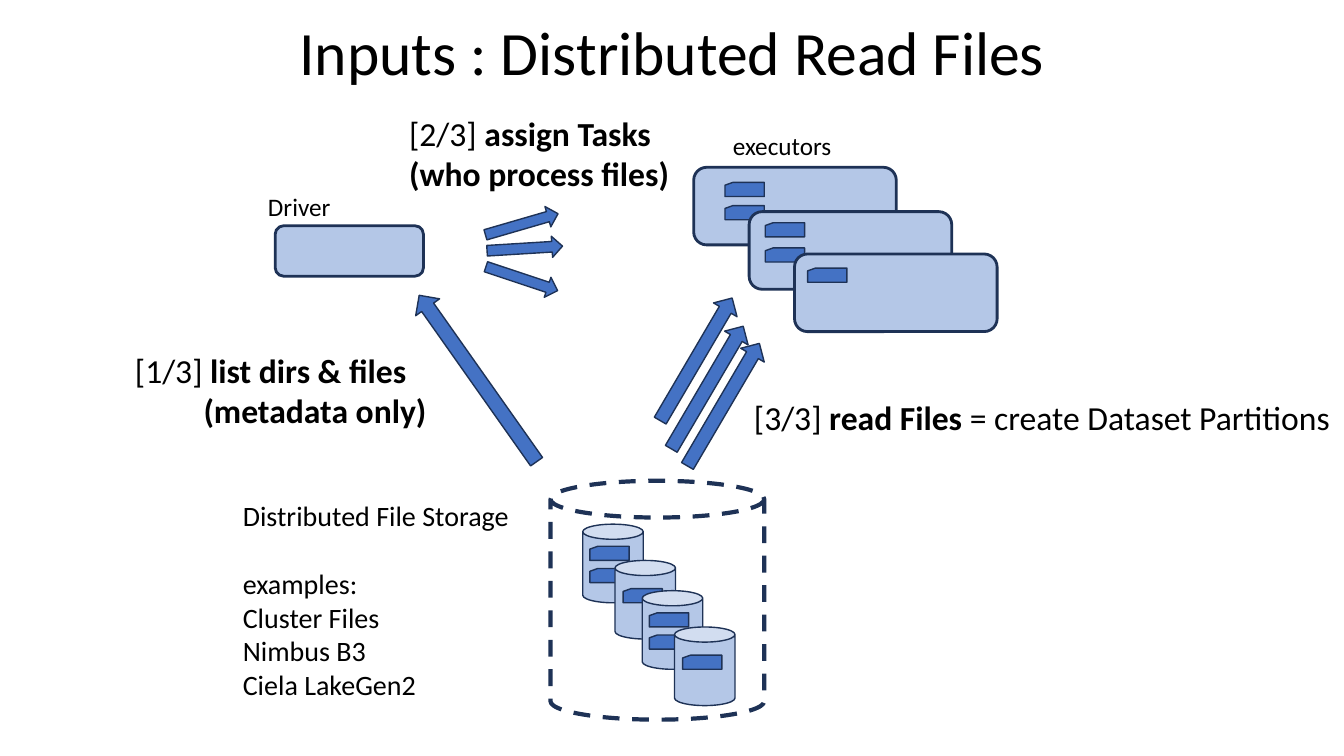
import pptx
import pptx.util
import pptx.dml.color
import pptx.enum.dml
import pptx.enum.shapes
import pptx.enum.text

SHAPE = pptx.enum.shapes.MSO_SHAPE
ANCHOR = pptx.enum.text.MSO_ANCHOR
AUTO = pptx.enum.text.MSO_AUTO_SIZE
ALIGN = pptx.enum.text.PP_ALIGN
Inches, Pt = pptx.util.Inches, pptx.util.Pt

FONT, BLACK = "Calibri", "000000"
PALE, BLUE, NAVY = "B4C7E7", "4472C4", "1E3256"

TITLE = "Inputs : Distributed Read Files"

# Text boxes: (left, top, width, height), size, paragraphs.
# A paragraph is (runs as (text, bold), left indent in inches, space before in points).
LABELS = [
    ((2.31, 4.9, 2.87, 2.12), 20, [
        ([("Distributed File Storage", False)], 0, 0),
        ([("examples:", False)], 0, 24.4),
        ([("Cluster Files", False)], 0, 0),
        ([("Nimbus B3", False)], 0, 0),
        ([("Ciela LakeGen2", False)], 0, 0)]),
    ((2.56, 1.85, 0.83, 0.4), 18, [([("Driver", False)], 0, 0)]),
    ((7.17, 1.24, 1.19, 0.4), 18, [([("executors", False)], 0, 0)]),
    ((1.24, 3.42, 3.19, 0.91), 24, [
        ([("[1/3] ", False), ("list dirs & files", True)], 0, 0),
        ([("(metadata only)", True)], 0.68, 0)]),
    ((3.96, 1.07, 2.81, 0.91), 24, [
        ([("[2/3] ", False), ("assign Tasks", True)], 0, 0),
        ([("(who process files)", True)], 0, 0)]),
    ((7.38, 3.89, 5.94, 0.5), 24, [
        ([("[3/3] ", False), ("read Files", True),
          (" = create Dataset Partitions", False)], 0, 0)]),
]

DRIVER = (2.73, 2.24, 1.47, 0.5)
STORAGE = (5.46, 4.77, 2.12, 2.37)
DISK_SIZE, EXECUTOR_SIZE, CARD_SIZE = (0.6, 0.78), (2.01, 0.77), (0.39, 0.14)

# Corner of each node, then the offsets of the file cards inside it.
TWO_FILES, ONE_FILE = [(0.07, 0.22), (0.07, 0.44)], [(0.08, 0.28)]
DISKS = [
    ((5.78, 5.2), TWO_FILES),
    ((6.1, 5.56), ONE_FILE),
    ((6.37, 5.86), TWO_FILES),
    ((6.69, 6.22), ONE_FILE),
]
EXECUTORS = [
    ((6.88, 1.66), [(0.31, 0.15), (0.31, 0.38)]),
    ((7.43, 2.1), [(0.16, 0.11), (0.16, 0.36)]),
    ((7.88, 2.52), [(0.13, 0.14)]),
]

# Arrow size, then (left, top, rotation) of each arrow.
ARROWS = [
    ((2.02, 0.29), [(3.73, 3.61, 234.8)]),
    ((0.75, 0.21), [(4.8, 2.12, 343.8), (4.83, 2.36, 356.5), (4.8, 2.66, 18.4)]),
    ((1.41, 0.27), [(6.2, 3.43, 300.4), (6.31, 3.71, 300.4), (6.47, 3.88, 300.4)]),
]


def rgb(value):
    return pptx.dml.color.RGBColor.from_string(value)


def set_attrs(obj, **values):
    for name, value in values.items():
        setattr(obj, name, value)


def place(box):
    return [Inches(v) for v in box]


def add_run(p, text, size, bold=False):
    r = p.add_run()
    r.text = text
    set_attrs(r.font, name=FONT, size=Pt(size), bold=bold)
    r.font.color.rgb = rgb(BLACK)


def add_label(s, box, size, paragraphs):
    tf = s.shapes.add_textbox(*place(box)).text_frame
    set_attrs(tf, word_wrap=False, auto_size=AUTO.SHAPE_TO_FIT_TEXT)
    for i, (runs, indent, before) in enumerate(paragraphs):
        p = tf.paragraphs[0] if i == 0 else tf.add_paragraph()
        if indent:
            p._p.get_or_add_pPr().set("marL", str(Inches(indent)))
        if before:
            p.space_before = Pt(before)
        for text, bold in runs:
            add_run(p, text, size, bold)


def add_shape(s, kind, box, fill, weight=1, rotation=0):
    sp = s.shapes.add_shape(kind, *place(box))
    sp.shadow.inherit = False
    sp.rotation = rotation
    if fill:
        sp.fill.solid()
        sp.fill.fore_color.rgb = rgb(fill)
    else:
        sp.fill.background()
    sp.line.color.rgb = rgb(NAVY)
    sp.line.width = Pt(weight)
    return sp


def add_nodes(s, kind, size, weight, nodes):
    """Draw overlapping nodes, each with its file cards on top."""
    for (x, y), cards in nodes:
        add_shape(s, kind, (x, y, *size), PALE, weight)
        for dx, dy in cards:
            add_shape(s, SHAPE.FLOWCHART_CARD, (x + dx, y + dy, *CARD_SIZE), BLUE)


def add_title(s):
    sp = s.shapes.title
    box = place((0.92, 0.1, 11.5, 0.9))
    set_attrs(sp, **dict(zip(("left", "top", "width", "height"), box)))
    tf = sp.text_frame
    set_attrs(tf, vertical_anchor=ANCHOR.MIDDLE, auto_size=AUTO.NONE, word_wrap=True)
    p = tf.paragraphs[0]
    set_attrs(p, alignment=ALIGN.CENTER, line_spacing=0.9)
    add_run(p, TITLE, 44)


def main():
    prs = pptx.Presentation()
    set_attrs(prs, slide_width=Inches(13.33), slide_height=Inches(7.5))
    s = prs.slides.add_slide(prs.slide_layouts[5])
    add_title(s)

    storage = add_shape(s, SHAPE.CAN, STORAGE, None, 3)
    storage.adjustments[0] = 0.172
    storage.line.dash_style = pptx.enum.dml.MSO_LINE.DASH
    add_nodes(s, SHAPE.CAN, DISK_SIZE, 1, DISKS)

    add_shape(s, SHAPE.ROUNDED_RECTANGLE, DRIVER, PALE, 2)
    add_nodes(s, SHAPE.ROUNDED_RECTANGLE, EXECUTOR_SIZE, 2, EXECUTORS)

    for size, arrows in ARROWS:
        for x, y, rotation in arrows:
            add_shape(s, SHAPE.RIGHT_ARROW, (x, y, *size), BLUE, rotation=rotation)
    for label in LABELS:
        add_label(s, *label)
    prs.save("out.pptx")


if __name__ == "__main__":
    main()
